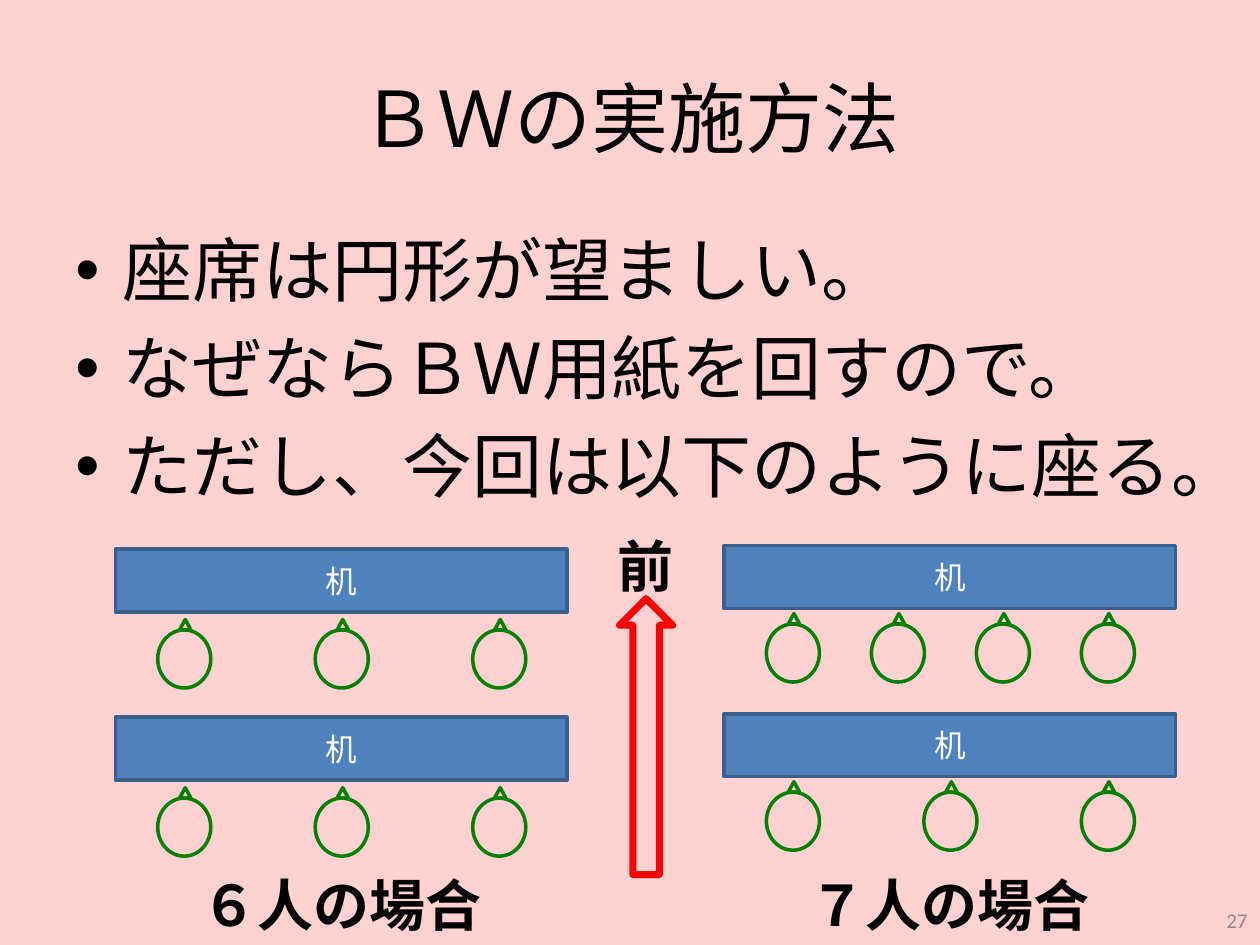
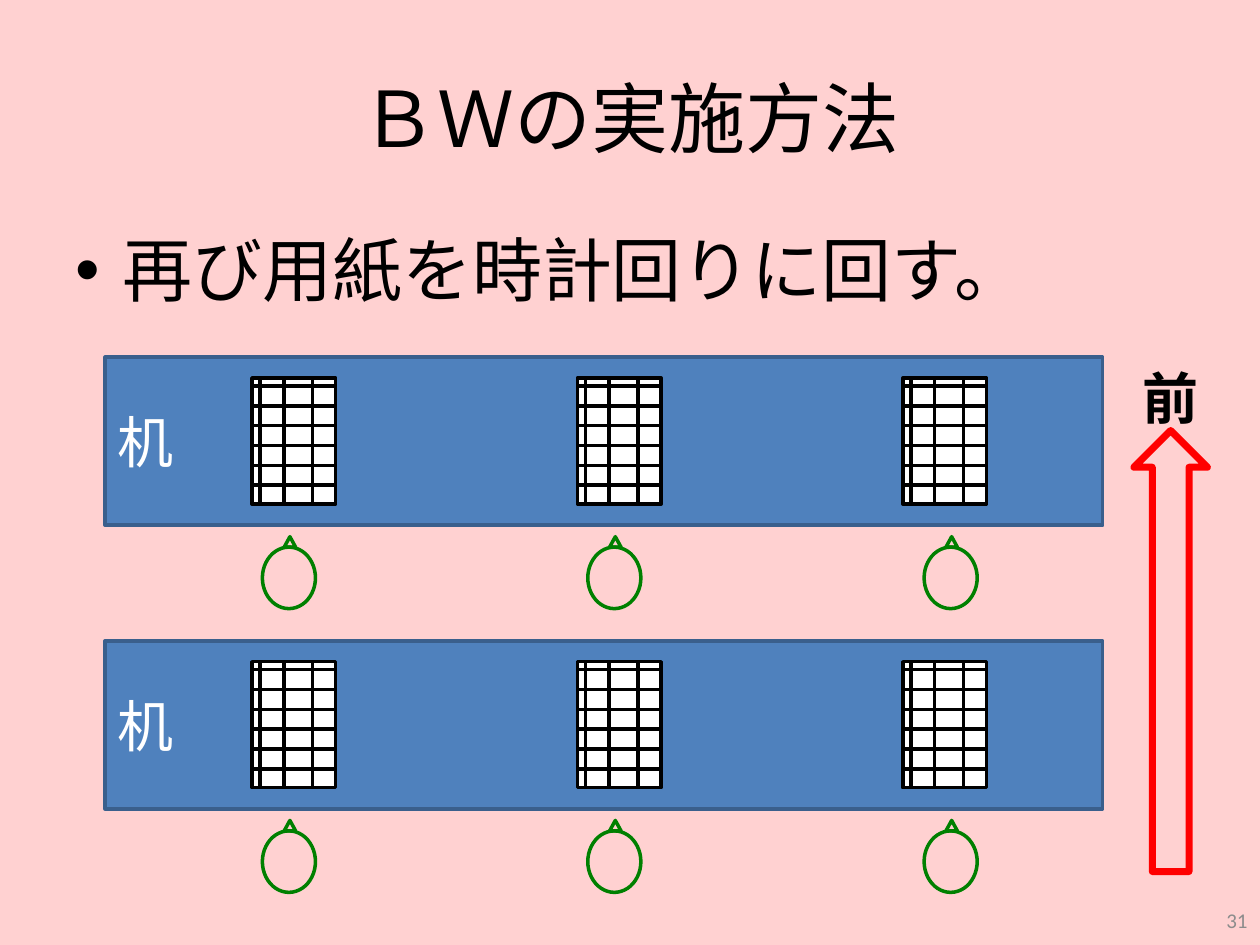
import lxml.etree
import pptx
import pptx.dml.color
import pptx.enum.shapes
import pptx.enum.text
import pptx.oxml.ns
import pptx.util

Cm = pptx.util.Cm
Pt = pptx.util.Pt
RGBColor = pptx.dml.color.RGBColor
SHAPE = pptx.enum.shapes.MSO_SHAPE
ALIGN = pptx.enum.text.PP_ALIGN
ANCHOR = pptx.enum.text.MSO_ANCHOR
qn = pptx.oxml.ns.qn

PINK = RGBColor(0xFF, 0xD1, 0xD1)
BLUE = RGBColor(0x4F, 0x81, 0xBD)
NAVY = RGBColor(0x3A, 0x5F, 0x8C)
GREEN = RGBColor(0x00, 0x80, 0x00)
RED = RGBColor(0xFF, 0x00, 0x00)
BLACK = RGBColor(0x00, 0x00, 0x00)
WHITE = RGBColor(0xFF, 0xFF, 0xFF)
GRAY = RGBColor(0x8C, 0x8C, 0x8C)


class Deck:
    font = "Calibri"
    title = "ＢＷの実施方法"

    def __init__(self):
        self.prs = pptx.Presentation()
        self.prs.slide_width = Cm(25.4)
        self.prs.slide_height = Cm(19.05)
        self.s = None

    def slide(self, number, bullets, body_height):
        self.s = self.prs.slides.add_slide(self.prs.slide_layouts[6])
        fill = self.s.background.fill
        fill.solid()
        fill.fore_color.rgb = PINK
        self.bullets(bullets, body_height)
        self.text(self.title, 1.27, 0.76, 22.86, 3.18, 44, anchor=ANCHOR.MIDDLE)
        self.text(number, 19.48, 18.03, 5.92, 1.02, 12, GRAY, ALIGN.RIGHT, ANCHOR.MIDDLE)

    def style(self, p, size, color, align):
        p.alignment = align
        p.font.name = self.font
        p.font.size = Pt(size)
        p.font.color.rgb = color

    def text(self, text, x, y, w, h, size, color=BLACK, align=ALIGN.CENTER,
             anchor=ANCHOR.TOP, bold=False):
        tf = self.s.shapes.add_textbox(Cm(x), Cm(y), Cm(w), Cm(h)).text_frame
        tf.word_wrap = True
        tf.vertical_anchor = anchor
        tf.text = text
        p = tf.paragraphs[0]
        self.style(p, size, color, align)
        p.font.bold = bold
        return tf

    def label(self, text, x, y, w):
        self.text(text, x, y, w, 1.63, 32, bold=True)

    def bullets(self, lines, h):
        tf = self.text("\n".join(lines), 1.27, 4.45, 22.86, h, 40)
        for p in tf.paragraphs:
            self.style(p, 40, BLACK, ALIGN.LEFT)
            p.space_before = Pt(8)
            pPr = p._p.get_or_add_pPr()
            pPr.set("marL", str(Cm(0.95)))
            pPr.set("indent", str(-Cm(0.95)))
            pPr.set("hangingPunct", "1")
            bullet_font = lxml.etree.Element(qn("a:buFont"), typeface="Arial")
            bullet = lxml.etree.Element(qn("a:buChar"), char="•")
            pPr.find(qn("a:spcBef")).addnext(bullet_font)
            bullet_font.addnext(bullet)

    def shape(self, kind, x, y, w, h, line, fill=None, width=2, group=None):
        sp = (group or self.s).shapes.add_shape(kind, Cm(x), Cm(y), Cm(w), Cm(h))
        sp.shadow.inherit = False
        if fill is None:
            sp.fill.background()
        else:
            sp.fill.solid()
            sp.fill.fore_color.rgb = fill
        sp.line.color.rgb = line
        sp.line.width = Pt(width)
        return sp

    def line(self, x1, y1, x2, y2, group):
        c = group.shapes.add_connector(
            pptx.enum.shapes.MSO_CONNECTOR.STRAIGHT, Cm(x1), Cm(y1), Cm(x2), Cm(y2))
        c.line.color.rgb = BLACK
        c.line.width = Pt(2)
        lxml.etree.SubElement(c._element.spPr, qn("a:effectLst"))

    def desk(self, x, y, w, h, size, align=ALIGN.CENTER):
        tf = self.shape(SHAPE.RECTANGLE, x, y, w, h, NAVY, BLUE).text_frame
        tf.vertical_anchor = ANCHOR.MIDDLE
        tf.text = "机"
        self.style(tf.paragraphs[0], size, WHITE, align)

    def person(self, x, y, head_height):
        group = self.s.shapes.add_group_shape()
        self.shape(SHAPE.OVAL, x, y + 0.21, 1.07, head_height, GREEN, group=group)
        self.shape(SHAPE.ISOSCELES_TRIANGLE, x + 0.44, y, 0.23, 0.21, GREEN, group=group)

    def front(self, x, y, w, h, label_x, label_y):
        self.shape(SHAPE.UP_ARROW, x, y, w, h, RED, width=4)
        self.label("前", label_x, label_y, 2.75)

    def sheet(self, x, y):
        w, h = 1.69, 2.54
        group = self.s.shapes.add_group_shape()
        self.shape(SHAPE.RECTANGLE, x, y, w, h, BLACK, WHITE, group=group)
        for row in range(6):
            row_y = y + 0.16 + 0.4 * row
            self.line(x, row_y, x + w, row_y, group)
        for dx in (0.16, 0.64, 1.22):
            self.line(x + dx, y + h, x + dx, y, group)


def seating_slide(deck):
    deck.slide("27", ["座席は円形が望ましい。", "なぜならＢＷ用紙を回すので。",
                      "ただし、今回は以下のように座る。"], 6.35)
    cases = [("６人の場合", 2.33, 11.07, 12.49, (3, 3)),
             ("７人の場合", 14.6, 11.0, 12.37, (4, 3))]
    for name, x, desk_y, person_y, rows in cases:
        for row, count in enumerate(rows):
            dy = 3.39 * row
            deck.desk(x, desk_y + dy, 9.1, 1.27, 18)
            for seat in range(count):
                deck.person(x + 0.85 + 6.35 * seat / (count - 1), person_y + dy, 1.17)
        deck.label(name, x, 17.42, 9.1)
    deck.front(12.49, 12.07, 1.07, 5.56, 11.64, 10.59)


def passing_slide(deck):
    deck.slide("31", ["再び用紙を時計回りに回す。"], 2.12)
    for row in range(2):
        dy = 5.72 * row
        deck.desk(2.12, 7.2 + dy, 20.11, 3.39, 32, ALIGN.LEFT)
        for seat, person_x in enumerate((5.29, 11.85, 18.63)):
            deck.sheet(5.08 + 6.56 * seat, 7.62 + dy)
            deck.person(person_x, 10.82 + dy, 1.24)
    deck.front(22.86, 8.68, 1.48, 8.89, 22.23, 7.2)


def main():
    deck = Deck()
    seating_slide(deck)
    passing_slide(deck)
    deck.prs.save("out.pptx")


if __name__ == "__main__":
    main()
